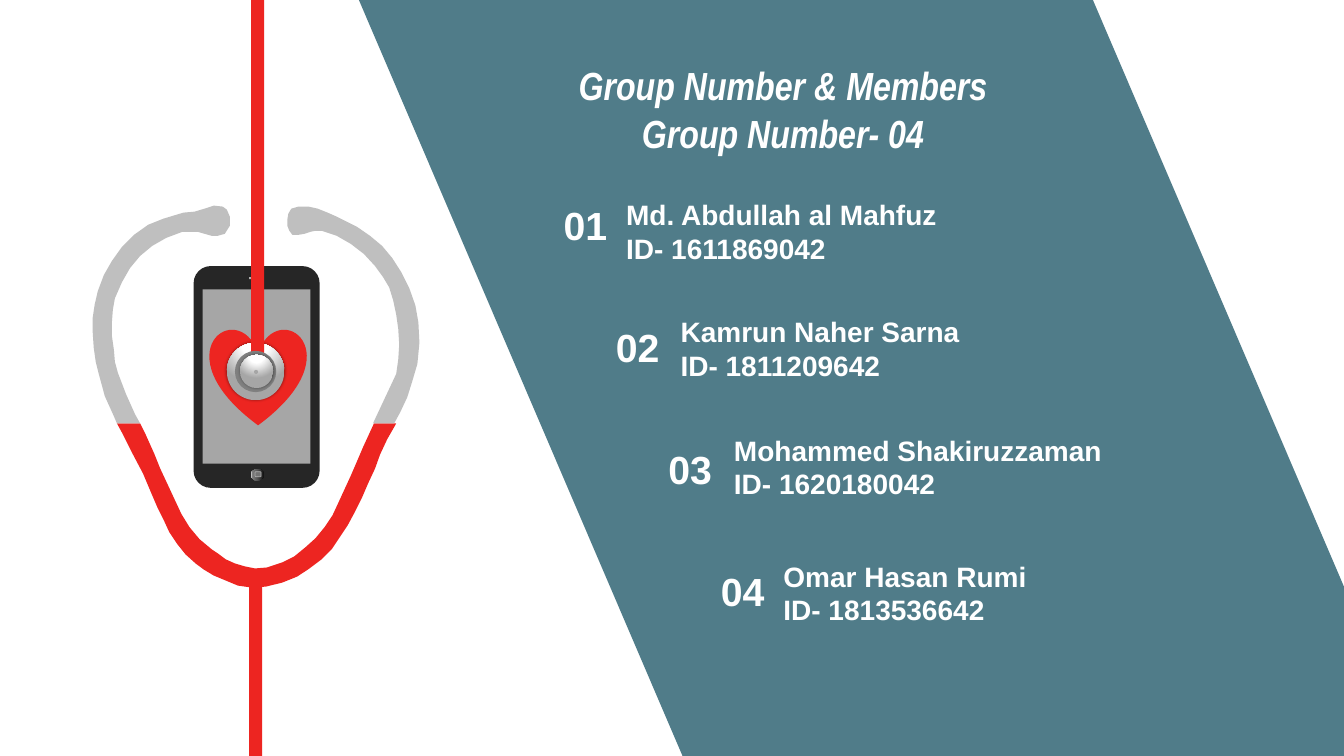
"""Build a group members slide with a stethoscope and phone illustration."""
import pptx
import pptx.dml.color
import pptx.enum.shapes
import pptx.enum.text
import pptx.oxml
import pptx.oxml.ns
import pptx.util

RGBColor = pptx.dml.color.RGBColor
Inches = pptx.util.Inches
Pt = pptx.util.Pt
ShapeType = pptx.enum.shapes.MSO_SHAPE
Align = pptx.enum.text.PP_ALIGN
Anchor = pptx.enum.text.MSO_ANCHOR

WHITE = RGBColor(0xFF, 0xFF, 0xFF)
TEAL = RGBColor(0x50, 0x7C, 0x89)
RED = RGBColor(0xED, 0x25, 0x21)
CASE = RGBColor(0x26, 0x26, 0x26)
SCREEN = RGBColor(0xA6, 0xA6, 0xA6)
SPEAKER = RGBColor(0xB0, 0xB0, 0xB0)
ICON = RGBColor(0x73, 0x73, 0x73)
RIM = RGBColor(0x80, 0x80, 0x80)
METAL = RGBColor(0xBF, 0xBF, 0xBF)
BUTTON_STOPS = [(0, RGBColor(0x0F, 0x0F, 0x0F)), (56, RGBColor(0x59, 0x59, 0x59)),
                (91, RIM), (100, METAL)]
STEEL_STOPS = [(0, WHITE), (35, WHITE), (100, SCREEN)]
BUTTON_SHADE = '<a:lin ang="10800000" scaled="0"/>'
STEEL_SHADE = ('<a:path path="circle"><a:fillToRect l="50000" t="-80000" '
               'r="50000" b="180000"/></a:path>')

TITLE = "Group Number & Members\vGroup Number- 04"
MEMBERS = [
    ("Md. Abdullah al Mahfuz", "1611869042", 6.09, 1.91, 4.93),
    ("Kamrun Naher Sarna", "1811209642", 6.63, 3.07, 4.93),
    ("Mohammed Shakiruzzaman", "1620180042", 7.16, 4.25, 5.5),
    ("Omar Hasan Rumi", "1813536642", 7.65, 5.5, 4.93),
]
NUMBER_START, NUMBER_STEP = (5.28, 1.95), (0.52, 1.21)

PANEL = [(356, 0), (1084, 0), (1333, 582), (1333, 750), (677, 750)]
TUBE = [
    (116, 420), (139, 420), (144, 430), (153, 450), (159, 465), (166, 480), (173, 495),
    (180, 510), (188, 523), (198, 535), (210, 545), (216, 549), (224, 555), (233, 559),
    (243, 562), (253, 564), (265, 563), (280, 558), (292, 552), (303, 543), (313, 534),
    (322, 523), (330, 511), (336, 498), (342, 485), (348, 472), (354, 458), (360, 444),
    (371, 420), (393, 420), (392, 422), (384, 436), (377, 451), (372, 465), (365, 480),
    (359, 494), (352, 508), (345, 521), (337, 533), (329, 545), (319, 555), (307, 564),
    (295, 572), (280, 578), (264, 582), (250, 583), (236, 581), (224, 576), (212, 571),
    (202, 565), (194, 559), (184, 550), (176, 540), (168, 528), (162, 515), (156, 503),
    (150, 489), (142, 470), (132, 451), (122, 431),
]
RIGHT_EARPIECE = [
    (296, 205), (306, 205), (315, 207), (325, 211), (334, 215), (342, 219), (354, 225),
    (367, 234), (379, 244), (389, 256), (398, 270), (406, 286), (412, 303), (415, 320),
    (416, 340), (414, 361), (409, 378), (404, 394), (397, 409), (391, 420), (370, 420),
    (393, 371), (395, 357), (396, 342), (395, 326), (393, 312), (390, 298), (386, 285),
    (380, 275), (372, 264), (361, 252), (348, 242), (334, 234), (319, 229), (313, 229),
    (308, 230), (302, 232), (296, 233), (290, 233), (287, 229), (285, 224), (285, 218),
    (286, 212), (289, 207),
]
LEFT_EARPIECE = [
    (212, 204), (221, 205), (225, 208), (228, 215), (228, 224), (223, 232), (216, 234),
    (210, 234), (203, 232), (196, 230), (189, 230), (181, 230), (165, 236), (151, 244),
    (139, 254), (129, 266), (121, 280), (114, 296), (112, 307), (111, 320), (111, 333),
    (113, 347), (114, 359), (117, 370), (125, 391), (134, 411), (139, 420), (116, 420),
    (113, 413), (104, 393), (98, 371), (95, 359), (93, 345), (92, 330), (92, 315),
    (94, 302), (97, 289), (103, 273), (111, 259), (121, 245), (133, 233), (147, 223),
    (162, 217), (172, 214), (182, 211), (193, 210), (203, 207),
]

presentation = pptx.Presentation()
presentation.slide_width, presentation.slide_height = Inches(13.33), Inches(7.5)
slide = presentation.slides.add_slide(presentation.slide_layouts[5])


def paint(shape, color):
    shape.shadow.inherit = False
    shape.fill.solid()
    shape.fill.fore_color.rgb = color
    shape.line.fill.background()
    return shape


def add_part(kind, left, top, width, height, color):
    return paint(slide.shapes.add_shape(
        kind, Inches(left), Inches(top), Inches(width), Inches(height)), color)


def add_outline(color, *contours):
    builder = slide.shapes.build_freeform(*contours[0][0], scale=Inches(0.01))
    for index, contour in enumerate(contours):
        if index:
            builder.move_to(*contour[0])
        builder.add_line_segments(contour[1:], close=True)
    return paint(builder.convert_to_shape(), color)


def shade(shape, stops, direction):
    stop_xml = "".join(f'<a:gs pos="{position * 1000}"><a:srgbClr val="{color}"/></a:gs>'
                       for position, color in stops)
    gradient = pptx.oxml.parse_xml(
        f'<a:gradFill {pptx.oxml.ns.nsdecls("a")} rotWithShape="1">'
        f'<a:gsLst>{stop_xml}</a:gsLst>{direction}</a:gradFill>')
    properties = shape._element.spPr
    properties.replace(properties.find(pptx.oxml.ns.qn("a:solidFill")), gradient)


def add_disc(left, top, size, color, steel=False):
    disc = add_part(ShapeType.OVAL, left, top, size, size, color)
    disc.rotation = 270
    if steel:
        shade(disc, STEEL_STOPS, STEEL_SHADE)
        effects = disc._element.spPr.find(pptx.oxml.ns.qn("a:effectLst"))
        effects.append(pptx.oxml.parse_xml(
            f'<a:outerShdw {pptx.oxml.ns.nsdecls("a")} blurRad="25400" dist="0" dir="0">'
            '<a:srgbClr val="000000"><a:alpha val="40000"/></a:srgbClr></a:outerShdw>'))


def write(shape, box, text, size, font="Arial", align=Align.LEFT, italic=False):
    shape.left, shape.top, shape.width, shape.height = map(Inches, box)
    frame = shape.text_frame
    frame.word_wrap = True
    frame.text = text
    paragraph = frame.paragraphs[0]
    paragraph.alignment = align
    for run in paragraph.runs:
        run.font.name, run.font.size = font, Pt(size)
        run.font.bold, run.font.italic = True, italic
        run.font.color.rgb = WHITE
    return frame


def add_label(box, text, size, align=Align.LEFT):
    frame = write(slide.shapes.add_textbox(0, 0, 0, 0), box, text, size, align=align)
    frame.margin_left = frame.margin_right = Inches(0.12)


add_outline(TEAL, PANEL)

phone = add_part(ShapeType.ROUNDED_RECTANGLE, 1.92, 2.64, 1.25, 2.2, CASE)
phone.adjustments[0] = 0.136
add_part(ShapeType.RECTANGLE, 2.47, 2.75, 0.13, 0.02, SPEAKER)
home_button = add_part(ShapeType.OVAL, 2.49, 4.65, 0.13, 0.12, CASE)
shade(home_button, BUTTON_STOPS, BUTTON_SHADE)
home_icon = add_part(ShapeType.ROUNDED_RECTANGLE, 2.53, 4.68, 0.06, 0.05, ICON)
home_icon.line.color.rgb = SPEAKER
home_icon.line.width = Pt(0.5)
add_part(ShapeType.RECTANGLE, 2.01, 2.87, 1.07, 1.73, SCREEN)

add_part(ShapeType.HEART, 2.08, 3.26, 0.96, 0.96, RED)
add_part(ShapeType.RECTANGLE, 2.47, 5.7, 0.13, 1.8, RED)
add_disc(2.25, 3.4, 0.57, METAL, steel=True)
add_outline(RED, TUBE)
add_outline(METAL, RIGHT_EARPIECE, LEFT_EARPIECE)

title = slide.shapes.title
slide.shapes._spTree.append(title._element)
title_frame = write(title, (4.47, 0.56, 6.59, 1.04), TITLE, 28, "Arial Narrow",
                    Align.CENTER, italic=True)
title_frame.vertical_anchor = Anchor.MIDDLE

for index, (name, identifier, left, top, width) in enumerate(MEMBERS):
    add_label((left, top, width, 0.77), f"{name}\vID- {identifier}", 20)
    number_left, number_top = (start + index * step
                               for start, step in zip(NUMBER_START, NUMBER_STEP))
    add_label((number_left, number_top, 1.05, 0.57), f"{index + 1:02}", 28, Align.CENTER)

add_part(ShapeType.RECTANGLE, 2.49, 0, 0.13, 3.58, RED)
add_disc(2.33, 3.48, 0.41, RIM)
add_disc(2.38, 3.52, 0.33, METAL, steel=True)
add_disc(2.52, 3.67, 0.04, SCREEN)

presentation.save("out.pptx")
